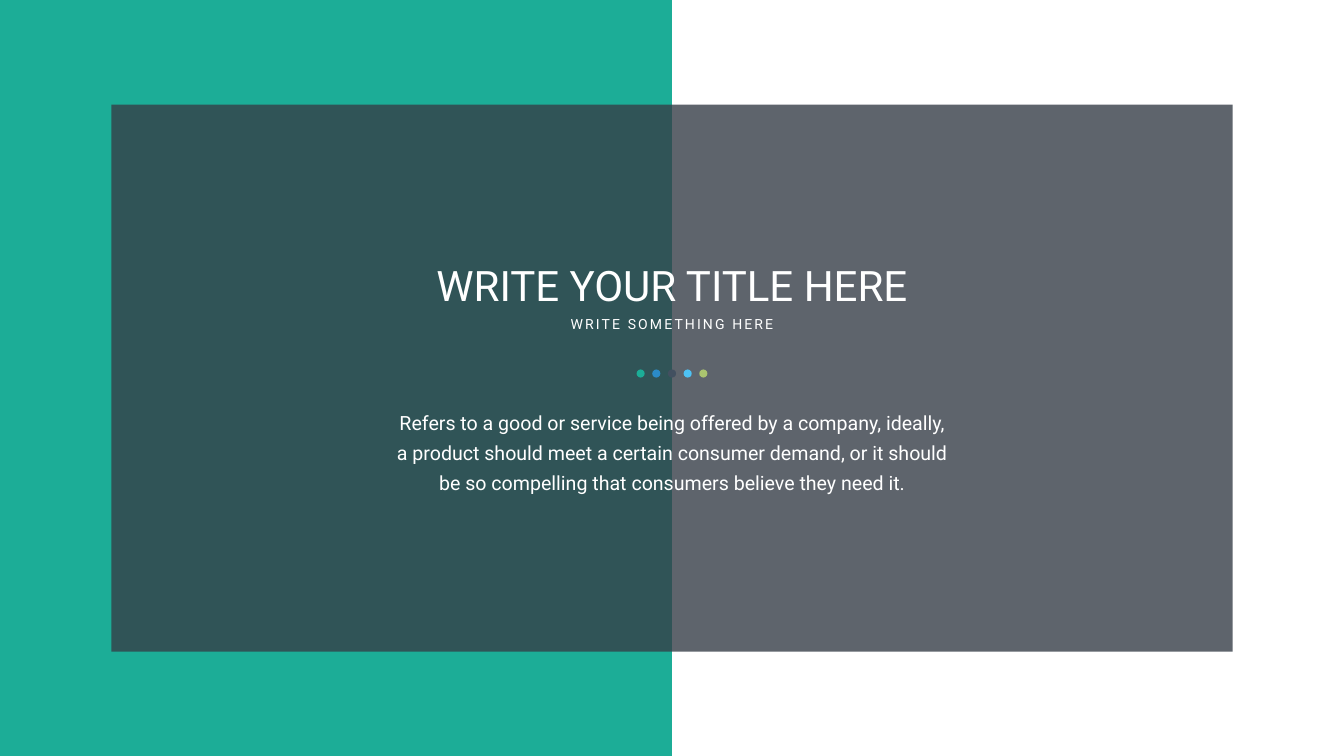
from pptx import Presentation
from pptx.dml.color import RGBColor
from pptx.enum.shapes import MSO_SHAPE as Preset
from pptx.enum.text import MSO_ANCHOR as Anchor, MSO_AUTO_SIZE as AutoSize, PP_ALIGN as Align
from pptx.oxml.ns import qn
from pptx.util import Cm, Pt
from lxml.etree import SubElement

WHITE = RGBColor(0xFF, 0xFF, 0xFF)
TEAL = RGBColor(0x1C, 0xAD, 0x97)
BLUE = RGBColor(0x2B, 0x8B, 0xC7)
SLATE = RGBColor(0x42, 0x50, 0x60)
SKY = RGBColor(0x4E, 0xC2, 0xF4)
LIME = RGBColor(0xAA, 0xC4, 0x6F)
CHARCOAL = RGBColor(0x36, 0x3E, 0x48)

FONT = "Roboto"
SLIDE_WIDTH, SLIDE_HEIGHT = 67.72, 38.1
CENTER = SLIDE_WIDTH / 2
DOT_SIZE, DOT_PITCH, DOT_TOP = 0.41, 0.79, 18.62


def add_filled_shape(slide, preset, left, top, width, height, color, opacity=None):
    """Add a shape without outline; opacity is a percentage."""
    shape = slide.shapes.add_shape(preset, Cm(left), Cm(top), Cm(width), Cm(height))
    shape.shadow.inherit = False
    shape.line.fill.background()
    shape.fill.solid()
    shape.fill.fore_color.rgb = color
    if opacity is not None:
        color_element = shape.element.spPr.find(qn("a:solidFill"))[0]
        SubElement(color_element, qn("a:alpha"), val=str(opacity * 1000))
    return shape


def add_background_panels(slide):
    """Add the panels and place them behind the placeholders."""
    half = add_filled_shape(slide, Preset.RECTANGLE, 0, 0, CENTER, SLIDE_HEIGHT, TEAL)
    card = add_filled_shape(slide, Preset.RECTANGLE, 5.61, 5.28, 56.5, 27.56, CHARCOAL, 80)
    for panel in (half, card):
        slide.shapes.title.element.addprevious(panel.element)


def add_dots(slide, colors):
    first_left = CENTER - ((len(colors) - 1) * DOT_PITCH + DOT_SIZE) / 2
    for index, color in enumerate(colors):
        left = first_left + index * DOT_PITCH
        add_filled_shape(slide, Preset.OVAL, left, DOT_TOP, DOT_SIZE, DOT_SIZE, color)


def write_centered(shape, text, top, width, height, size, wrap=True):
    """Centre the text shape on the slide, write its text and return the paragraph."""
    shape.left, shape.top = Cm(CENTER - width / 2), Cm(top)
    shape.width, shape.height = Cm(width), Cm(height)
    frame = shape.text_frame
    frame.word_wrap = wrap
    frame.auto_size = AutoSize.NONE
    frame.vertical_anchor = Anchor.TOP
    paragraph = frame.paragraphs[0]
    paragraph.alignment = Align.CENTER
    paragraph.space_before = Pt(0)
    run = paragraph.add_run()
    run.text = text
    run.font.name = FONT
    run.font.size = Pt(size)
    run.font.color.rgb = WHITE
    return paragraph


def add_description(slide, text):
    box = slide.shapes.add_textbox(0, 0, 0, 0)
    paragraph = write_centered(box, text, 20.07, 29.26, 5.08, 28)
    paragraph.line_spacing = Pt(43)
    frame = box.text_frame
    frame.margin_left = frame.margin_right = Cm(0.61)
    frame.margin_top = frame.margin_bottom = Cm(0.3)


def main():
    presentation = Presentation()
    presentation.slide_width = Cm(SLIDE_WIDTH)
    presentation.slide_height = Cm(SLIDE_HEIGHT)
    slide = presentation.slides.add_slide(presentation.slide_layouts[0])

    add_background_panels(slide)
    write_centered(slide.shapes.title, "WRITE YOUR TITLE HERE", 12.95, 28.58, 2.82, 60)
    subtitle = write_centered(
        slide.placeholders[1], "WRITE SOMETHING HERE", 15.77, 11.05, 1.12, 20, wrap=False
    )
    subtitle.runs[0].font._element.set("spc", "300")
    add_dots(slide, (TEAL, BLUE, SLATE, SKY, LIME))
    add_description(
        slide,
        "Refers to a good or service being offered by a company, ideally, "
        "a product should meet a certain consumer demand, or it should "
        "be so compelling that consumers believe they need it.",
    )
    presentation.save("out.pptx")


if __name__ == "__main__":
    main()
